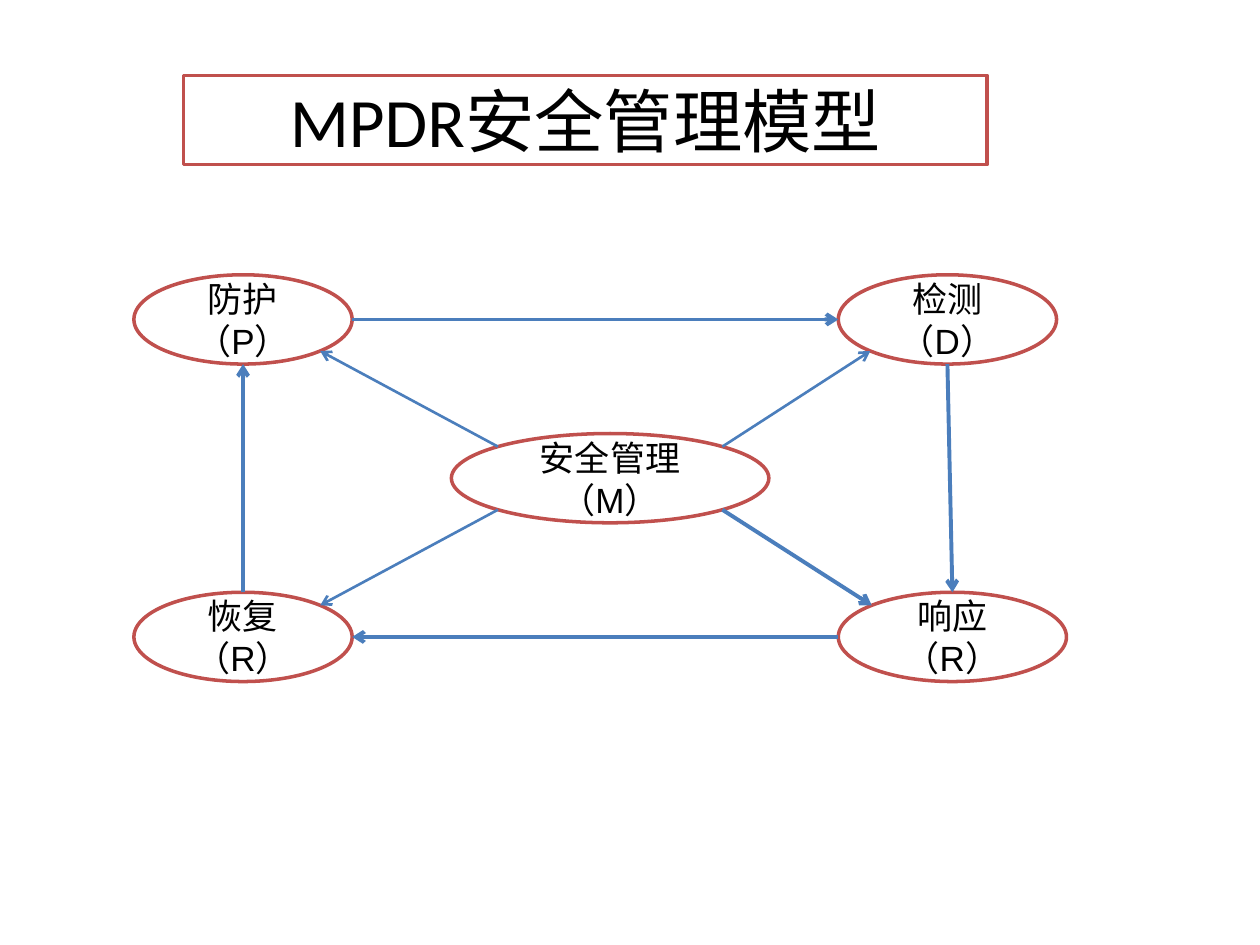
"""Build the MPDR security management model slide."""
from math import cos, radians, sin

from lxml.etree import SubElement
from pptx import Presentation
from pptx.dml.color import RGBColor
from pptx.enum.shapes import MSO_CONNECTOR, MSO_SHAPE
from pptx.enum.text import MSO_ANCHOR, MSO_AUTO_SIZE, PP_ALIGN
from pptx.oxml.ns import qn
from pptx.util import Cm, Pt

COLORS = {"paper": "FFFFFF", "outline": "C0504D", "arrow": "4B7EBC", "text": "000000"}


def style_box(box, text, font_name, size):
    box.fill.solid()
    box.fill.fore_color.rgb = RGBColor.from_string(COLORS["paper"])
    box.line.color.rgb = RGBColor.from_string(COLORS["outline"])
    box.line.width = Pt(2)
    frame = box.text_frame
    frame.text = text
    frame.word_wrap = True
    frame.auto_size = MSO_AUTO_SIZE.NONE
    frame.vertical_anchor = MSO_ANCHOR.MIDDLE
    frame.paragraphs[0].alignment = PP_ALIGN.CENTER
    font = frame.paragraphs[0].runs[0].font
    font.name, font.size = font_name, Pt(size)
    font.color.rgb = RGBColor.from_string(COLORS["text"])


def rim_point(oval, angle):
    x = oval.left + oval.width / 2 * (1 + cos(radians(angle)))
    y = oval.top + oval.height / 2 * (1 + sin(radians(angle)))
    return round(x), round(y)


prs = Presentation()
prs.slide_width, prs.slide_height = Cm(25.4), Cm(19.05)
slide = prs.slides.add_slide(prs.slide_layouts[5])

title = slide.shapes.title
title.left, title.top, title.width, title.height = Cm(3.7), Cm(1.52), Cm(16.2), Cm(1.8)
style_box(title, "MPDR安全管理模型", "Calibri", 39.6)

LEFT, MIDDLE, RIGHT = 2.7, 9.1, 16.9
TOP_ROW, ROW_STEP, OVAL_HEIGHT = 5.54, 3.2, 1.8
stages = {
    "protect": ("防护（P）", LEFT, 0, 4.4),
    "manage": ("安全管理（M）", MIDDLE, 1, 6.4),
    "recover": ("恢复（R）", LEFT, 2, 4.4),
    "respond": ("响应（R）", RIGHT, 2, 4.6),
    "detect": ("检测（D）", RIGHT, 0, 4.4),
}
ovals = {}
for stage, (text, left, row, width) in stages.items():
    oval = slide.shapes.add_shape(
        MSO_SHAPE.OVAL, Cm(left), Cm(TOP_ROW + row * ROW_STEP), Cm(width), Cm(OVAL_HEIGHT))
    oval.shadow.inherit = False
    style_box(oval, text, "Arial", 20)
    ovals[stage] = oval

flows = [
    ("protect", "detect", 0, 2.25),
    ("detect", "respond", 90, 2.25),
    ("recover", "protect", 270, 2.25),
    ("respond", "recover", 180, 2.25),
    ("manage", "detect", 315, 1.5),
    ("manage", "protect", 225, 1.5),
    ("manage", "recover", 135, 1.5),
    ("manage", "respond", 45, 2.25),
]
for source, target, angle, weight in flows:
    start = rim_point(ovals[source], angle)
    end = rim_point(ovals[target], angle + 180)
    flow = slide.shapes.add_connector(MSO_CONNECTOR.STRAIGHT, *start, *end)
    flow.line.color.rgb = RGBColor.from_string(COLORS["arrow"])
    flow.line.width = Pt(weight)
    SubElement(flow.line._get_or_add_ln(), qn("a:tailEnd"), type="arrow")
    SubElement(flow._element.spPr, qn("a:effectLst"))

prs.save("out.pptx")
